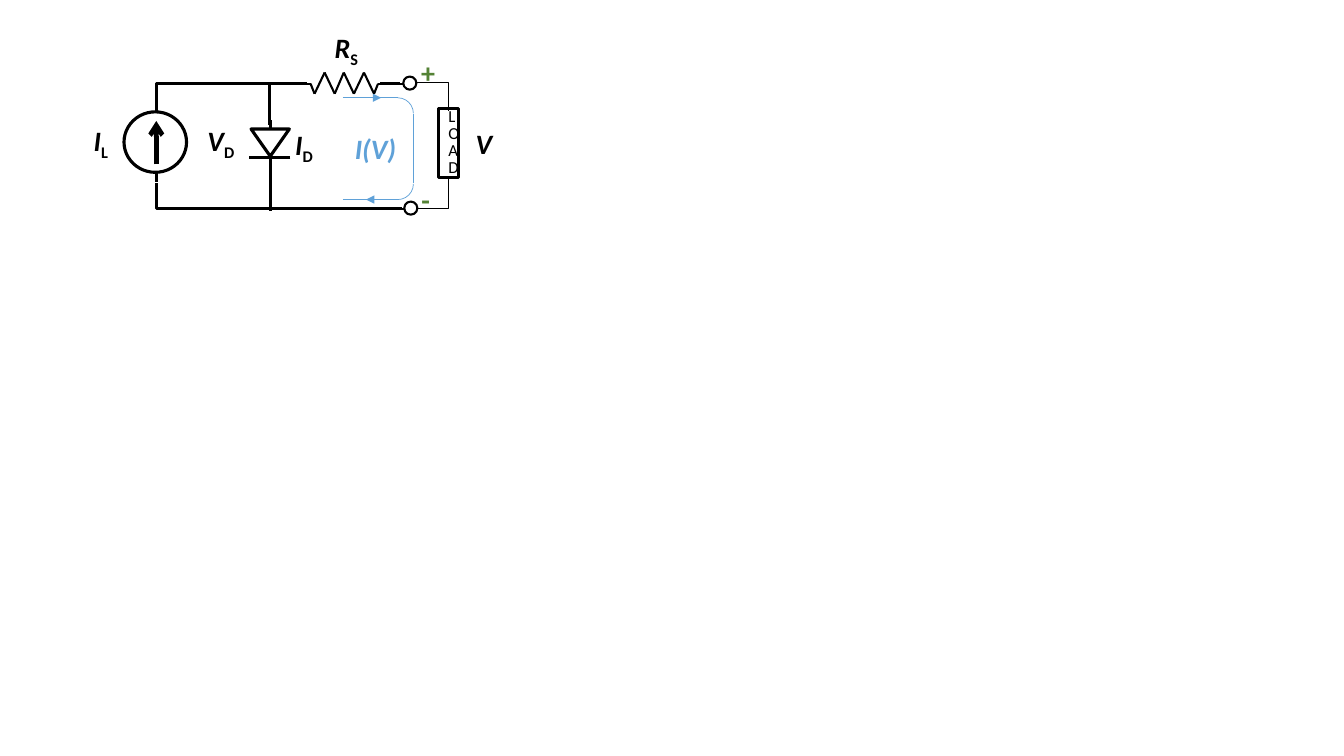
"""Build a slide with the one-diode equivalent circuit of a solar cell."""
import itertools

import pptx
import pptx.dml.color
import pptx.enum.shapes
import pptx.enum.text
import pptx.oxml.ns
import pptx.util
from lxml import etree

Inches = pptx.util.Inches
Pt = pptx.util.Pt
SHAPE = pptx.enum.shapes.MSO_SHAPE
COLORS = {"ink": "000000", "paper": "FFFFFF", "current": "5FA1D8", "polarity": "548235"}

TOP, BOTTOM = 0.83, 2.07
SOURCE, DIODE, LOAD = 1.55, 2.68, 4.45
LOOP_LEFT, LOOP_RIGHT, LOOP_TOP, LOOP_BOTTOM = 3.4, 4.1, 0.97, 1.98
TERMINAL, CORNER = 0.13, 0.31
THIN, MEDIUM, THICK, HEAVY = 0.5, 1.5, 2.25, 3.25

LABELS = [
    ("R", "S", 3.22, 0.25, 0.56, "ink", True),
    ("I", "L", 0.83, 1.18, 0.56, "ink", True),
    ("V", "D", 1.96, 1.18, 0.56, "ink", True),
    ("I", "D", 2.83, 1.22, 0.56, "ink", True),
    ("V", "", 4.62, 1.21, 0.56, "ink", True),
    ("I(V)", "", 3.42, 1.26, 0.65, "current", True),
    ("+", "", 4.08, 0.5, 0.36, "polarity", False),
    ("-", "", 4.08, 1.76, 0.29, "polarity", False),
]
CORNER_WIRES = [
    ([(3.05, TOP), (SOURCE, TOP), (SOURCE, 1.01)], THICK),
    ([(3.99, BOTTOM), (SOURCE, BOTTOM), (SOURCE, 1.82)], THICK),
    ([(LOAD, 1.1), (LOAD, 0.82), (4.11, 0.82)], THIN),
    ([(LOAD, 1.75), (LOAD, BOTTOM), (4.14, BOTTOM)], THIN),
]
PEAKS = [(round(3.12 + 0.098 * i, 2), 0.72 if i % 2 else 0.93) for i in range(7)]
RESISTOR = [(3.02, TOP), (3.08, TOP), *PEAKS, (3.75, TOP), (3.8, TOP)]
WIRES = [
    ((2.88, 1.56), (2.47, 1.56), THICK, "ink", None),
    ((DIODE, 1.28), (DIODE, 1.19), THICK, "ink", None),
    ((DIODE, 1.67), (DIODE, 1.57), THICK, "ink", None),
    ((2.67, 1.24), (2.67, 0.81), THICK, "ink", None),
    ((DIODE, 2.09), (DIODE, 1.62), THICK, "ink", None),
    ((3.77, TOP), (3.97, TOP), THICK, "ink", None),
    ((3.95, TOP), (4, TOP), MEDIUM, "ink", None),
    ((3.97, BOTTOM), (4.01, BOTTOM), MEDIUM, "ink", None),
    ((SOURCE, 1.63), (SOURCE, 1.2), HEAVY, "ink", "arrow"),
    ((SOURCE, 1.71), (SOURCE, 1.81), THICK, "ink", None),
    ((SOURCE, 1.01), (SOURCE, 1.11), THICK, "ink", None),
    ((LOOP_RIGHT, 1.13), (LOOP_RIGHT, 1.82), THIN, "current", None),
    ((LOOP_LEFT, LOOP_TOP), (3.95, LOOP_TOP), THIN, "current", None),
    ((LOOP_LEFT, LOOP_BOTTOM), (3.95, LOOP_BOTTOM), THIN, "current", None),
    ((3.57, LOOP_TOP), (3.78, LOOP_TOP), THIN, "current", "triangle"),
    ((3.84, LOOP_BOTTOM), (3.63, LOOP_BOTTOM), THIN, "current", "triangle"),
]
CORNER_LEFT = LOOP_RIGHT - CORNER
SYMBOLS = [
    (SHAPE.ISOSCELES_TRIANGLE, 2.49, 1.28, 0.38, 0.27, 180, THICK, "ink", None),
    (SHAPE.OVAL, 1.23, 1.11, 0.62, 0.6, 0, THICK, "ink", None),
    (SHAPE.OVAL, 4, 0.76, TERMINAL, TERMINAL, 0, MEDIUM, "ink", "paper"),
    (SHAPE.OVAL, 4.01, 2, TERMINAL, TERMINAL, 0, MEDIUM, "ink", "paper"),
    (SHAPE.ARC, CORNER_LEFT, LOOP_TOP, CORNER, CORNER, 0, THIN, "current", None),
    (SHAPE.ARC, CORNER_LEFT, LOOP_BOTTOM - CORNER, CORNER, CORNER, 90, THIN, "current", None),
]


def rgb(name):
    """Return a named colour."""
    return pptx.dml.color.RGBColor.from_string(COLORS[name])


def style(sp, width, color, fill=None):
    """Set the line and fill of a shape."""
    sp.shadow.inherit = False
    sp.line.width = Pt(width)
    sp.line.color.rgb = rgb(color)
    if fill:
        sp.fill.solid()
        sp.fill.fore_color.rgb = rgb(fill)
    else:
        sp.fill.background()


def add_symbol(s, kind, x, y, w, h, rotation, width, color, fill):
    """Add a preset outline."""
    sp = s.shapes.add_shape(kind, Inches(x), Inches(y), Inches(w), Inches(h))
    sp.rotation = rotation
    style(sp, width, color, fill)
    return sp


def add_wire(s, start, end, width, color, head):
    """Add a straight wire, with an arrowhead at its end if one is named."""
    straight = pptx.enum.shapes.MSO_CONNECTOR.STRAIGHT
    wire = s.shapes.add_connector(straight, *map(Inches, start + end))
    wire.line.width = Pt(width)
    wire.line.color.rgb = rgb(color)
    qn = pptx.oxml.ns.qn
    if head:
        etree.SubElement(wire.line._get_or_add_ln(), qn("a:tailEnd"), type=head)
    etree.SubElement(wire._element.spPr, qn("a:effectLst"))


def add_corner_wire(s, points, width):
    """Add a wire that turns a corner."""
    start, *rest = [(Inches(x), Inches(y)) for x, y in points]
    builder = s.shapes.build_freeform(*start)
    builder.add_line_segments(rest, close=False)
    style(builder.convert_to_shape(), width, "ink")


def add_label(s, text, subscript, x, y, width, color, italic):
    """Add a bold label with an optional subscript."""
    tf = s.shapes.add_textbox(Inches(x), Inches(y), Inches(width), Inches(0.44)).text_frame
    tf.word_wrap = True
    tf.auto_size = pptx.enum.text.MSO_AUTO_SIZE.SHAPE_TO_FIT_TEXT
    p = tf.paragraphs[0]
    p.font.name, p.font.size, p.font.bold = "Calibri", Pt(20), True
    p.font.color.rgb = rgb(color)
    r = p.add_run()
    r.text = text
    r.font.italic = italic
    if subscript:
        r = p.add_run()
        r.text = subscript
        r.font._element.set("baseline", "-25000")


def add_load(s):
    """Add the load with its name running downwards."""
    sp = add_symbol(s, SHAPE.RECTANGLE, LOAD - 0.1, 1.08, 0.2, 0.68, 0, THICK, "ink", None)
    tf = sp.text_frame
    tf.word_wrap = True
    tf.vertical_anchor = pptx.enum.text.MSO_ANCHOR.MIDDLE
    p = tf.paragraphs[0]
    p.text = "LOAD"
    p.alignment = pptx.enum.text.PP_ALIGN.CENTER
    p.line_spacing = Pt(12)
    p.font.name, p.font.size = "Calibri", Pt(12)
    p.font.color.rgb = rgb("ink")


def main():
    """Draw the circuit and save it."""
    prs = pptx.Presentation()
    prs.slide_width, prs.slide_height = Inches(13.33), Inches(7.5)
    s = prs.slides.add_slide(prs.slide_layouts[6])
    for points, width in CORNER_WIRES:
        add_corner_wire(s, points, width)
    for wire in WIRES:
        add_wire(s, *wire)
    for start, end in itertools.pairwise(RESISTOR):
        add_wire(s, start, end, MEDIUM, "ink", None)
    for symbol in SYMBOLS:
        add_symbol(s, *symbol)
    add_load(s)
    for label in LABELS:
        add_label(s, *label)
    prs.save("out.pptx")


if __name__ == "__main__":
    main()
